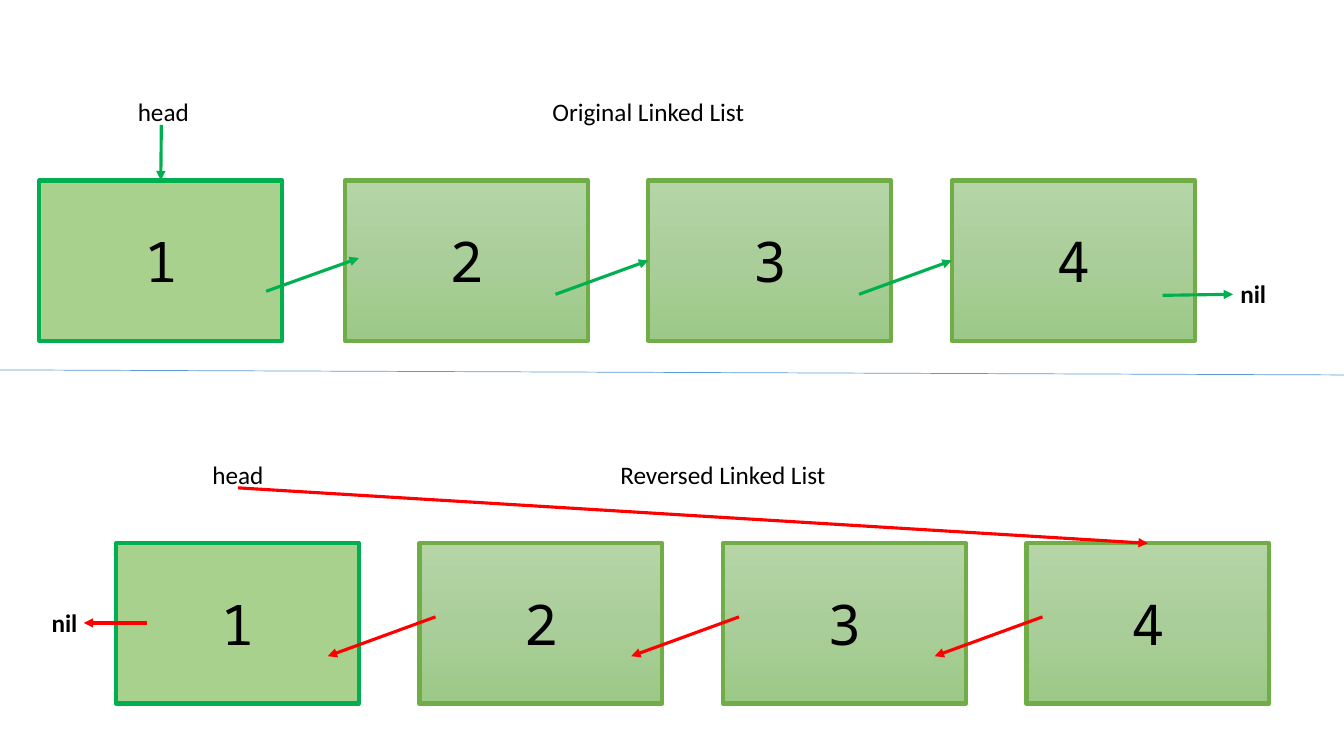
from copy import deepcopy

from lxml import etree
from pptx import Presentation
from pptx.dml.color import RGBColor
from pptx.enum.shapes import MSO_CONNECTOR, MSO_SHAPE
from pptx.enum.text import MSO_ANCHOR, MSO_AUTO_SIZE, PP_ALIGN
from pptx.oxml.ns import qn
from pptx.util import Emu, Pt

STRAIGHT = MSO_CONNECTOR.STRAIGHT
RECTANGLE = MSO_SHAPE.RECTANGLE
MIDDLE = MSO_ANCHOR.MIDDLE
FIT_SHAPE = MSO_AUTO_SIZE.SHAPE_TO_FIT_TEXT
CENTER = PP_ALIGN.CENTER

PX = 9144  # 100 px to the inch
PAGE_WIDTH, PAGE_HEIGHT = 1333, 750
NODE_WIDTH, NODE_HEIGHT, NODE_PITCH = 241, 159, 301
TOP, LEFT = 0, 1  # connection sites of a rectangle

BLACK = RGBColor(0x00, 0x00, 0x00)
GREEN = RGBColor(0x00, 0xB0, 0x50)
RED = RGBColor(0xFF, 0x00, 0x00)
BLUE = RGBColor(0x5B, 0x9B, 0xD5)
HEAD_FILL = RGBColor(0xA9, 0xD1, 0x8E)
NODE_LINE = RGBColor(0x70, 0xAD, 0x47)
NODE_GRADIENT = (
    RGBColor(0xB5, 0xD5, 0xA7),
    RGBColor(0xAA, 0xCE, 0x9A),
    RGBColor(0x9C, 0xC9, 0x87),
)

LABEL_FONT = {"name": "Calibri", "size": Pt(18), "bold": False}
NIL_FONT = {**LABEL_FONT, "bold": True}
NODE_FONT = {"name": "Noto Sans Mono", "size": Pt(40)}


def px(*lengths):
    return [Emu(length * PX) for length in lengths]


class ListDiagram:
    def __init__(self, deck):
        deck.slide_width, deck.slide_height = px(PAGE_WIDTH, PAGE_HEIGHT)
        self.page = deck.slides.add_slide(deck.slide_layouts[6])

    def put_text(self, box, text, font):
        para = box.text_frame.paragraphs[0]
        para.alignment = CENTER
        span = para.add_run()
        span.text = text
        for key, value in font.items():
            setattr(span.font, key, value)
        span.font.color.rgb = BLACK

    def label(self, text, left, top, width, font=LABEL_FONT):
        box = self.page.shapes.add_textbox(*px(left, top, width, 40))
        box.text_frame.word_wrap = True
        box.text_frame.auto_size = FIT_SHAPE
        self.put_text(box, text, font)

    def node(self, number, left, top):
        box = self.page.shapes.add_shape(
            RECTANGLE, *px(left, top, NODE_WIDTH, NODE_HEIGHT))
        box.shadow.inherit = False
        box.line.width = Pt(3)
        if number == 1:
            box.fill.solid()
            box.fill.fore_color.rgb = HEAD_FILL
            box.line.color.rgb = GREEN
        else:
            self.shade(box)
            box.line.color.rgb = NODE_LINE
        box.text_frame.vertical_anchor = MIDDLE
        self.put_text(box, str(number), NODE_FONT)
        return box

    def shade(self, box):
        box.fill.gradient()
        box.fill.gradient_angle = 270
        stop_list = next(box.element.spPr.iter(qn("a:gsLst")))
        stop_list.append(deepcopy(stop_list[-1]))
        for index, stop in enumerate(box.fill.gradient_stops):
            stop.position = index / 2
            stop.color.rgb = NODE_GRADIENT[index]

    def line(self, start, end, color, width):
        connector = self.page.shapes.add_connector(STRAIGHT, *px(*start, *end))
        connector.line.color.rgb = color
        connector.line.width = Pt(width)
        etree.SubElement(connector.element.spPr, qn("a:effectLst"))
        return connector

    def arrow(self, start, end, color, target=None, site=TOP):
        connector = self.line(start, end, color, 2.25)
        outline = connector.element.spPr.find(qn("a:ln"))
        etree.SubElement(outline, qn("a:tailEnd"), type="triangle")
        if target is not None:
            connector.end_connect(target, site)


def draw_original(diagram):
    top = 179
    lefts = [39] + [342 + NODE_PITCH * step for step in range(3)]
    nodes = [diagram.node(number, left, top)
             for number, left in enumerate(lefts, 1)]

    # Head and title
    diagram.label("head", 72, 91, 180)
    diagram.label("Original Linked List", 449, 91, 388)
    diagram.arrow((160, 124), (160, top), GREEN, nodes[0])

    # Links to the next node
    diagram.arrow((264, 289), (356, 256), GREEN)
    for left, following in zip(lefts[1:], nodes[2:]):
        diagram.arrow((left + 209, 292), (left + NODE_PITCH, 258), GREEN,
                      following, LEFT)
    diagram.arrow((1153, 293), (1223, 292), GREEN)
    diagram.label("nil", 1185, 271, 116, NIL_FONT)


def draw_reversed(diagram):
    top = 539
    lefts = [115 + NODE_PITCH * step for step in range(4)]
    nodes = [diagram.node(number, left, top)
             for number, left in enumerate(lefts, 1)]

    # Head and title
    diagram.label("head", 146, 451, 180)
    diagram.label("Reversed Linked List", 523, 451, 388)
    diagram.arrow((236, 484), (1139, top), RED, nodes[-1])

    # Links to the previous node
    for left in lefts[1:]:
        diagram.arrow((left + 16, 612), (left - 91, 651), RED)
    diagram.arrow((146, 618), (83, 618), RED)
    diagram.label("nil", 6, 598, 116, NIL_FONT)


def main():
    deck = Presentation()
    diagram = ListDiagram(deck)
    draw_original(diagram)
    draw_reversed(diagram)
    # Divider between the two lists
    diagram.line((0, 367), (PAGE_WIDTH, 372), BLUE, 0.5)
    deck.save("out.pptx")


if __name__ == "__main__":
    main()
